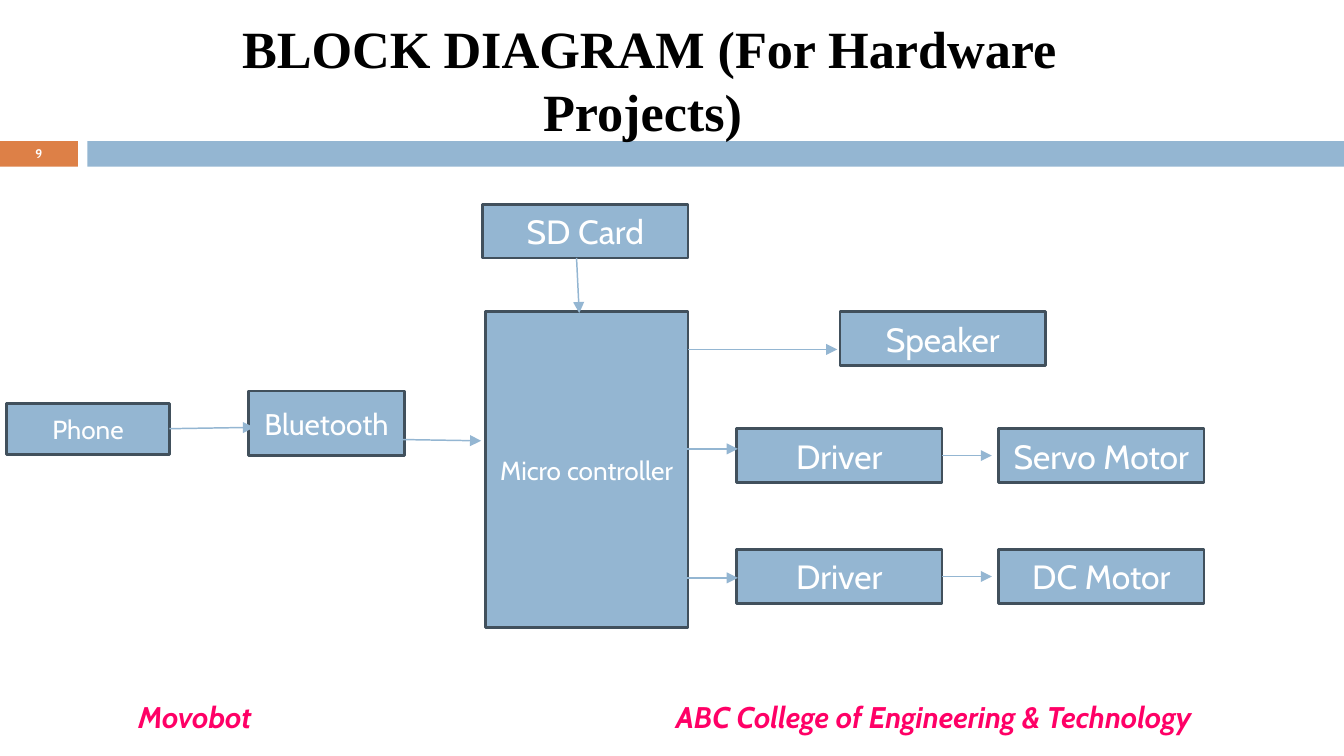
from lxml import etree
from pptx import Presentation
from pptx.dml.color import RGBColor
from pptx.enum import shapes, text
from pptx.oxml import ns
from pptx.util import Inches, Pt

BLUE, ORANGE, OUTLINE = "94B6D2", "DD8047", "41505C"
WHITE, BLACK, PINK = "FFFFFF", "000000", "FF0066"


def color(value):
    return RGBColor.from_string(value)


def add_xml(parent, tag, **attrs):
    return etree.SubElement(parent, ns.qn(tag), attrs)


def write(tf, content, size=18, font="Cabin", fill=WHITE, bold=False,
          italic=False, align=text.PP_ALIGN.CENTER,
          anchor=text.MSO_ANCHOR.MIDDLE):
    tf.word_wrap = True
    tf.auto_size = text.MSO_AUTO_SIZE.NONE
    tf.vertical_anchor = anchor
    p = tf.paragraphs[0]
    p.alignment = align
    r = p.add_run()
    r.text = content
    f = r.font
    f.size, f.name, f.bold, f.italic = Pt(size), font, bold, italic
    f.color.rgb = color(fill)
    return p


class Diagram:
    def __init__(self, slide):
        self.s = slide

    def title(self, content, x, y, w, h):
        sp = self.s.shapes.title
        sp.left, sp.top, sp.width, sp.height = map(Inches, (x, y, w, h))
        write(sp.text_frame, content, size=28, font="Times New Roman",
              fill=BLACK, bold=True)
        # Bring the title in front of the header band
        self.s.shapes._spTree.append(sp._element)

    def rect(self, x, y, w, h, fill=BLUE, line=None):
        sp = self.s.shapes.add_shape(shapes.MSO_SHAPE.RECTANGLE,
                                     *map(Inches, (x, y, w, h)))
        sp.shadow.inherit = False
        sp.fill.solid()
        sp.fill.fore_color.rgb = color(fill)
        if line:
            sp.line.color.rgb = color(line)
            sp.line.width = Pt(1.5)
        else:
            sp.line.fill.background()
        return sp

    def block(self, content, x, y, w=1.53, h=0.4, size=18):
        sp = self.rect(x, y, w, h, line=OUTLINE)
        write(sp.text_frame, content, size=size)
        return sp

    def textbox(self, content, x, y, w, h, margin=0.1, **style):
        tf = self.s.shapes.add_textbox(
            *map(Inches, (x, y, w, h))).text_frame
        tf.margin_left = Inches(margin)
        return write(tf, content, **style)

    def arrow(self, x1, y1, x2, y2, source=None):
        c = self.s.shapes.add_connector(shapes.MSO_CONNECTOR.STRAIGHT,
                                        *map(Inches, (x1, y1, x2, y2)))
        if source:
            c.begin_connect(source, 3)
        c.line.color.rgb = color(BLUE)
        c.line.width = Pt(0.79)
        add_xml(c.line._get_or_add_ln(), "a:tailEnd", type="triangle")
        add_xml(c._element.spPr, "a:effectLst")


def main():
    prs = Presentation()
    prs.slide_width = Inches(10)
    prs.slide_height = prs.slide_width * 9 // 16
    d = Diagram(prs.slides.add_slide(prs.slide_layouts[5]))

    # Header band, page number and title
    d.rect(0, 1.05, 0.58, 0.19, fill=ORANGE)
    d.rect(0.65, 1.05, 9.35, 0.19)
    d.textbox("9", 0, 1.04, 0.58, 0.2, size=6.7, bold=True)
    d.title("BLOCK DIAGRAM (For Hardware Projects) ", 1.41, 0.07, 6.84, 1.04)

    # Footer: a tab stop separates the project from the college
    p = d.textbox("Movobot\tABC College of Engineering & Technology",
                  0, 5.15, 10, 0.38, margin=1.03, size=16, fill=PINK,
                  bold=True, italic=True, align=text.PP_ALIGN.LEFT,
                  anchor=text.MSO_ANCHOR.TOP)
    tabs = add_xml(p._p.get_or_add_pPr(), "a:tabLst")
    add_xml(tabs, "a:tab", pos=str(Inches(4)), algn="l")

    # Input side and controller
    phone = d.block("Phone", 0.05, 3, 1.21, 0.38, size=14)
    d.block("Bluetooth", 1.85, 2.91, 1.16, 0.48, size=16)
    d.block("SD Card", 3.59, 1.52)
    d.block("Micro controller", 3.61, 2.32, 1.51, 2.35, size=14)
    d.arrow(1.26, 3.19, 1.89, 3.18, source=phone)
    d.arrow(2.94, 3.27, 3.58, 3.28)
    d.arrow(4.29, 1.92, 4.31, 2.33)

    # Output side
    d.block("Speaker", 6.25, 2.32)
    d.arrow(5.12, 2.6, 6.23, 2.6)
    for motor, y, feed_y in (("Servo Motor", 3.19, 3.34),
                             ("DC Motor", 4.09, 4.3)):
        driver = d.block("Driver", 5.48, y)
        d.block(motor, 7.43, y)
        d.arrow(5.09, feed_y, 5.49, feed_y)
        d.arrow(7.01, y + 0.2, 7.38, y + 0.2, source=driver)

    prs.save("out.pptx")


if __name__ == "__main__":
    main()
